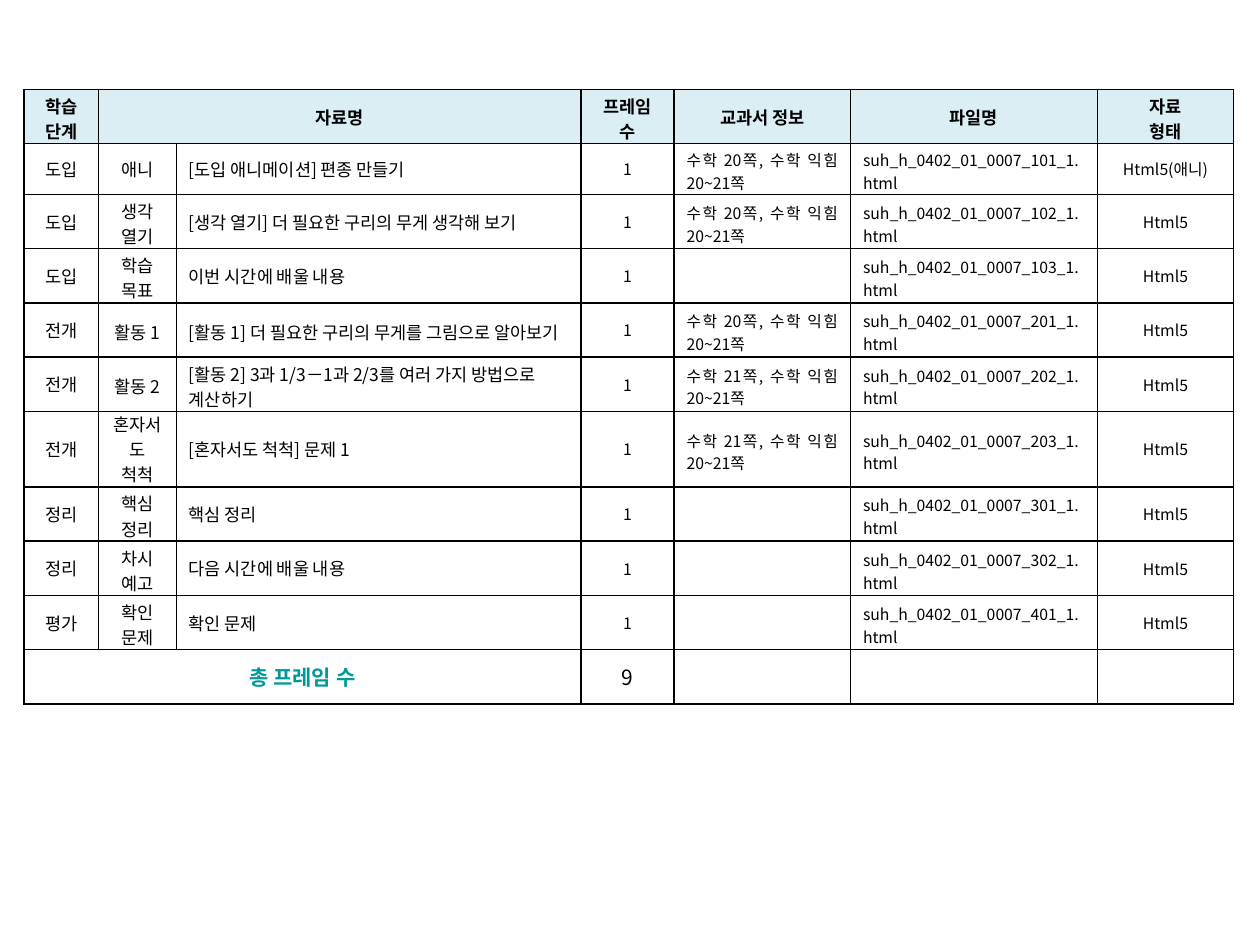
from math import ceil

from lxml.etree import SubElement
from pptx import Presentation
from pptx.dml.color import RGBColor
from pptx.enum.text import MSO_ANCHOR as Anchor, PP_ALIGN as Align
from pptx.oxml.ns import qn
from pptx.util import Inches, Pt

FONT = "Noto Sans CJK KR"
COLUMN_WIDTHS = [0.59, 0.62, 3.21, 0.74, 1.4, 1.96, 1.08]
ROW_HEIGHTS = [0.43, 0.22, 0.22] + [0.43] * 8
LINE_CAPACITY = [4, 3, 28, 4, 14, 20, 10]
HEADINGS = ["학습 단계", "자료명", "", "프레임 수", "교과서 정보", "파일명", "자료\n형태"]
PAGE_20 = "수학 20쪽, 수학 익힘 20~21쪽"
PAGE_21 = "수학 21쪽, 수학 익힘 20~21쪽"
LESSONS = [
    ("도입", "애니", "[도입 애니메이션] 편종 만들기", PAGE_20, 101, "Html5(애니)"),
    ("도입", "생각 열기", "[생각 열기] 더 필요한 구리의 무게 생각해 보기", PAGE_20, 102, "Html5"),
    ("도입", "학습 목표", "이번 시간에 배울 내용", "", 103, "Html5"),
    ("전개", "활동 1", "[활동 1] 더 필요한 구리의 무게를 그림으로 알아보기", PAGE_20, 201, "Html5"),
    ("전개", "활동 2", "[활동 2] 3과 1/3－1과 2/3를 여러 가지 방법으로 계산하기", PAGE_21, 202, "Html5"),
    ("전개", "혼자서도 척척", "[혼자서도 척척] 문제 1", PAGE_21, 203, "Html5"),
    ("정리", "핵심 정리", "핵심 정리", "", 301, "Html5"),
    ("정리", "차시 예고", "다음 시간에 배울 내용", "", 302, "Html5"),
    ("평가", "확인 문제", "확인 문제", "", 401, "Html5"),
]
BODY_SIZES = [10, 10, 10, 9, 9, 9, 9]
BODY_ALIGNS = [Align.CENTER, Align.CENTER, Align.LEFT, Align.CENTER,
               Align.JUSTIFY, Align.JUSTIFY, Align.CENTER]


def color(value):
    return RGBColor.from_string(value)


def line_count(text, column):
    return max(ceil(len(text) / LINE_CAPACITY[column]), text.count("\n") + 1)


class SlideBuilder:
    def __init__(self, slide, font, ink="000000", line="000000"):
        self.slide = slide
        self.font = font
        self.ink = ink
        self.line = line

    def table(self, left, top, widths, heights):
        frame = self.slide.shapes.add_table(
            len(heights), len(widths), Inches(left), Inches(top),
            Inches(sum(widths)), Inches(sum(heights)))
        table = frame.table
        for column, width in zip(table.columns, widths):
            column.width = Inches(width)
        for row, height in zip(table.rows, heights):
            row.height = Inches(height)
        return table

    def cell(self, cell, text, size, align=Align.CENTER, bold=False, ink=None,
             fill=None, lines=1):
        cell.text = text
        cell.vertical_anchor = Anchor.MIDDLE
        if lines > 1:
            cell.margin_bottom = 0
            cell.margin_top = Inches(0 if lines > 2 else 0.03 if size == 10 else 0.04)
        if lines > 2:
            cell.margin_left = cell.margin_right = Inches(0.11)
        for paragraph in cell.text_frame.paragraphs:
            paragraph.alignment = align
            font = paragraph.font
            font.size = Pt(size)
            font.bold = bold
            font.name = self.font
            font.color.rgb = color(ink or self.ink)
            defaults = paragraph._p.find(qn("a:pPr")).find(qn("a:defRPr"))
            SubElement(defaults, qn("a:ea"), typeface=self.font)
            if not text:
                SubElement(paragraph._p, qn("a:endParaRPr"), sz=str(size * 100))
        self.borders(cell)
        if fill:
            cell.fill.solid()
            cell.fill.fore_color.rgb = color(fill)
        else:
            cell.fill.background()

    def borders(self, cell):
        properties = cell._tc.get_or_add_tcPr()
        for side in ("a:lnL", "a:lnR", "a:lnT", "a:lnB"):
            edge = SubElement(properties, qn(side), w=str(Pt(1)))
            paint = SubElement(edge, qn("a:solidFill"))
            SubElement(paint, qn("a:srgbClr"), val=self.line)


def main():
    deck = Presentation()
    deck.slide_width, deck.slide_height = Inches(10), Inches(7.5)
    builder = SlideBuilder(deck.slides.add_slide(deck.slide_layouts[6]), FONT)
    lesson_plan = builder.table(0.19, 0.71, COLUMN_WIDTHS, ROW_HEIGHTS)

    for column, heading in enumerate(HEADINGS):
        builder.cell(lesson_plan.cell(0, column), heading, 10, bold=True,
                     fill="DBEEF4", lines=1 if column == 1 else line_count(heading, column))

    for row, (stage, step, title, pages, number, kind) in enumerate(LESSONS, 1):
        file_name = f"suh_h_0402_01_0007_{number}_1.html"
        values = [stage, step, title, "1", pages, file_name, kind]
        for column, (value, size, align) in enumerate(zip(values, BODY_SIZES, BODY_ALIGNS)):
            builder.cell(lesson_plan.cell(row, column), value, size, align,
                         lines=line_count(value, column))

    total_row = len(ROW_HEIGHTS) - 1
    for column in range(1, len(COLUMN_WIDTHS)):
        if column != 3:
            builder.cell(lesson_plan.cell(total_row, column), "", 9)
    builder.cell(lesson_plan.cell(total_row, 0), "총 프레임 수", 12, bold=True, ink="009999")
    builder.cell(lesson_plan.cell(total_row, 3), str(len(LESSONS)), 12)

    lesson_plan.cell(0, 1).merge(lesson_plan.cell(0, 2))
    lesson_plan.cell(total_row, 0).merge(lesson_plan.cell(total_row, 2))
    deck.save("out.pptx")


if __name__ == "__main__":
    main()
